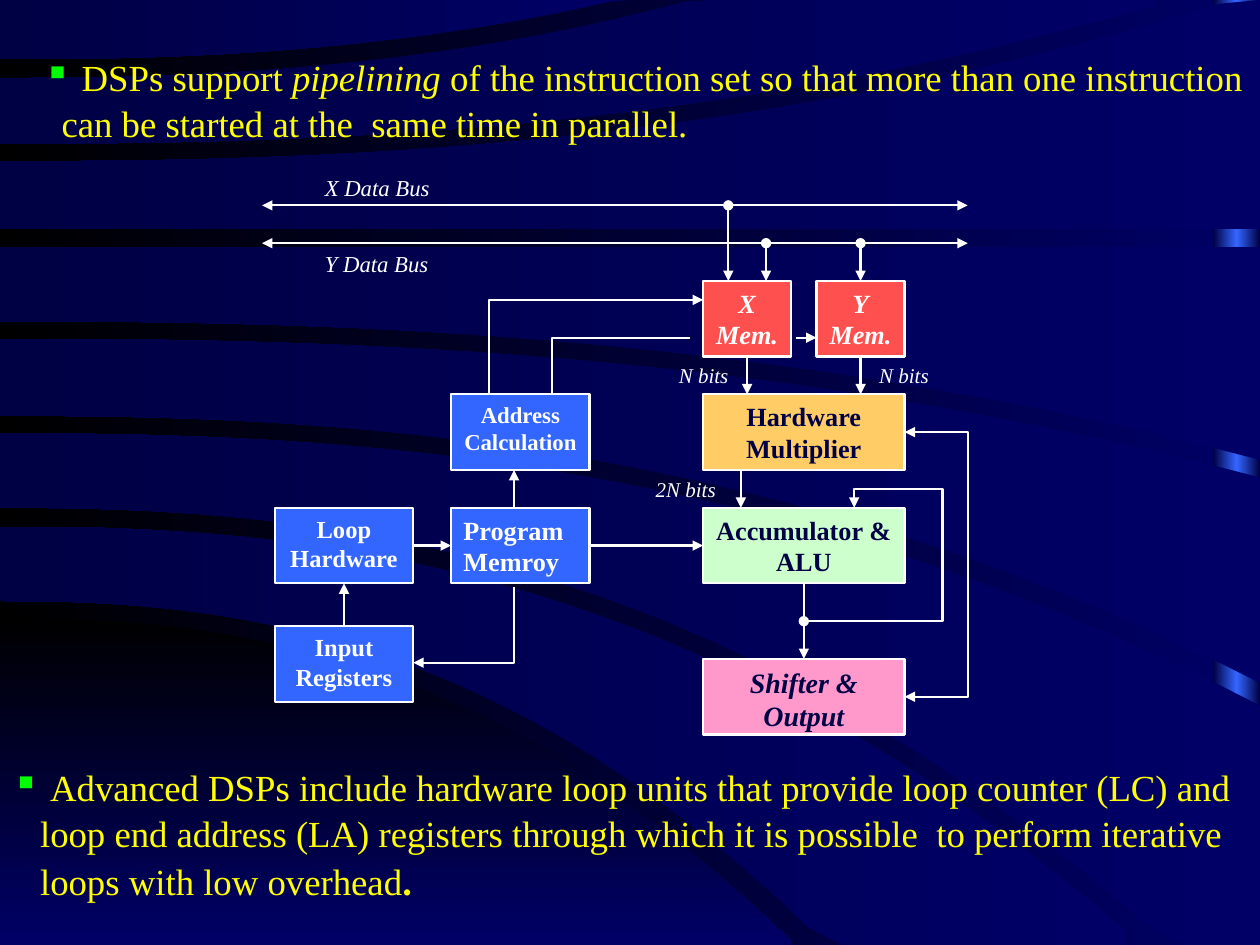
from copy import deepcopy
from pptx import Presentation
from pptx.dml.color import RGBColor
from pptx.enum.shapes import MSO_CONNECTOR, MSO_SHAPE
from pptx.enum.text import MSO_ANCHOR, PP_ALIGN
from pptx.oxml.ns import qn
from pptx.util import Inches, Pt
from lxml import etree

STRAIGHT = MSO_CONNECTOR.STRAIGHT
RECT = MSO_SHAPE.RECTANGLE
TOP, MIDDLE = MSO_ANCHOR.TOP, MSO_ANCHOR.MIDDLE
LEFT, CENTER, RIGHT = PP_ALIGN.LEFT, PP_ALIGN.CENTER, PP_ALIGN.RIGHT
FONT = "Times New Roman"
WIDTH, HEIGHT = 10, 7.5
COLORS = {"navy": "000066", "deep": "000044", "black": "000000", "blue": "3366FF",
          "white": "FFFFFF", "yellow": "FFFF00", "bullet": "00FF00", "green": "CCFFCC",
          "orange": "FFCC66", "pink": "FF99CC", "red": "FF5050"}

BEND, SAMPLES = 2.4, 32
CORNER = (6.28, (4.91, 7.8), (HEIGHT, 0))
SWEEPS = [
    (8.93, (4.18, 4.2), (4.77, 7.5)),
    (WIDTH, (3.44, 2.16), (4.03, 4.15)),
    (WIDTH, (2.69, 1.1), (3.3, 2.12)),
    (WIDTH, (1.96, 0), (2.55, 1.1)),
    (WIDTH, (1.28, -1.35), (1.82, 0)),
    (9.17, (0.62, -2.6), (1.14, -1.35)),
    (5.01, (0, 0), (0.47, -2.6)),
]

CELL, ORIGIN_X, ORIGIN_Y = 0.1, 2.08, 1.33
BLOCK_ROWS, GAP = 6, 3
KINDS = {"green": (16, "deep"), "orange": (16, "deep"), "pink": (16, "deep"),
         "red": (7, "white"), "blue": (11, "white")}
ITALIC_KINDS = ("pink", "red")
BLOCKS = {
    "alu": (35, 27, "green", 15, CENTER, ["Accumulator & ALU"]),
    "multiplier": (35, 18, "orange", 15, CENTER, ["Hardware", "Multiplier"]),
    "shifter": (35, 39, "pink", 16, CENTER, ["Shifter &", "Output"]),
    "x memory": (35, 9, "red", 15, CENTER, ["X", "Mem."]),
    "y memory": (44, 9, "red", 15, CENTER, ["Y", "Mem."]),
    "program": (15, 27, "blue", 15, LEFT, ["Program Memroy"]),
    "address": (15, 18, "blue", 13, CENTER, ["Address", "Calculation"]),
    "loop": (1, 27, "blue", 14, CENTER, ["Loop", "Hardware"]),
    "input": (1, 36.4, "blue", 14, CENTER, ["Input", "Registers"]),
}
LABELS = [
    (4, 0, 11, 13, LEFT, "X Data Bus"),
    (4, 6, 11, 13, LEFT, "Y Data Bus"),
    (32, 15, 6, 12, RIGHT, "N bits"),
    (48, 15, 6, 12, LEFT, "N bits"),
    (29, 24, 8, 12, RIGHT, "2N bits"),
]
ARROW, DOT = "triangle", "oval"
BUS_END, BUS_ROWS, MEMORY_ROW = 56, (3, 6), 9
TAPS = [(37, 3), (40, 6), (47.5, 6)]
DROPS = [(38.5, 15), (47.5, 15), (38, 24)]
JOINS = [("alu", "bottom", "shifter", "top"), ("program", "right", "alu", "left"),
         ("loop", "right", "program", "left"), ("input", "top", "loop", "bottom")]
SIDES = ("top", "left", "bottom", "right")
ROUTES = [
    ([(20, 27), (20, 24)], None, ARROW),
    ([(42.4, 13.5), (44, 13.5)], None, ARROW),
    ([(18, 18), (18, 10.5), (35, 10.5)], None, ARROW),
    ([(23, 18), (23, 13.5), (34, 13.5)], None, None),
    ([(43, 36), (54, 36), (54, 25.5), (47, 25.5), (47, 27)], DOT, ARROW),
    ([(51, 21), (56, 21), (56, 42), (51, 42)], ARROW, ARROW),
    ([(20, 33.3), (20, 39.3), (12, 39.3)], None, ARROW),
]
POINTS = [
    (0.25, 0.25, 0.14, [
        [("DSPs support ", 21, ""), ("pipelining", 21, "italic"),
         (" of the instruction set so that more than one instruction", 21, "")],
        [("can be started at the  same time in parallel.", 21, "")]]),
    (0, 6.08, 0.22, [
        [("Advanced DSPs include hardware loop units that provide loop counter (LC) and",
          21, "")],
        [("loop end address (LA) registers through which it is possible  to perform iterative",
          21, "")],
        [("loops with low overhead", 21, ""), (".", 22, "bold")]]),
]


def rgb(name):
    return RGBColor.from_string(COLORS[name])


def grid(col, row):
    return Inches(ORIGIN_X + col * CELL), Inches(ORIGIN_Y + row * CELL)


def set_gradient(fill, first, last, angle):
    fill.gradient()
    fill.gradient_angle = angle
    for stop, name, place in zip(fill.gradient_stops, (first, last), (0, 1)):
        stop.color.rgb = rgb(name)
        stop.position = place


def outline(points, closed):
    builder = slide.shapes.build_freeform(*points[0], scale=1.0)
    builder.add_line_segments(points[1:], close=closed)
    shape = builder.convert_to_shape()
    shape.shadow.inherit = False
    return shape


def curve(reach, start, rise):
    xs = [reach * step / SAMPLES for step in range(SAMPLES + 1)]
    ys = [start + rise * (x / WIDTH) ** BEND for x in xs]
    return [(Inches(x), Inches(min(max(y, 0), HEIGHT))) for x, y in zip(xs, ys)]


def sweep(reach, upper, lower, first, last, angle):
    shape = outline(curve(reach, *upper) + curve(reach, *lower)[::-1], True)
    set_gradient(shape.fill, first, last, angle)
    shape.line.fill.background()


def add_run(paragraph, text, size, color, bold=False, italic=False):
    run = paragraph.add_run()
    run.text = text
    font = run.font
    font.name, font.size, font.bold, font.italic = FONT, Pt(size), bold, italic
    font.color.rgb = rgb(color)


def paragraphs(frame, count, anchor=TOP):
    frame.word_wrap = True
    frame.vertical_anchor = anchor
    return [frame.paragraphs[0]] + [frame.add_paragraph() for _ in range(count - 1)]


def style_wire(wire, head, tail):
    wire.line.color.rgb = rgb("white")
    wire.line.width = Pt(1.25)
    for tag, end in (("a:headEnd", head), ("a:tailEnd", tail)):
        if end:
            etree.SubElement(wire.line._get_or_add_ln(), qn(tag), type=end)


prs = Presentation()
prs.slide_width, prs.slide_height = Inches(WIDTH), Inches(HEIGHT)
slide = prs.slides.add_slide(prs.slide_layouts[6])
set_gradient(slide.background.fill, "navy", "black", 180)

edge = slide.shapes.add_shape(RECT, Inches(9.63), 0, Inches(0.37), Inches(HEIGHT))
edge.shadow.inherit = False
edge.line.fill.background()
set_gradient(edge.fill, "deep", "deep", 180)
stops = edge._element.spPr.find(".//" + qn("a:gsLst"))
stops.insert(1, deepcopy(stops[0]))
edge.fill.gradient_stops[1].position = 0.5
edge.fill.gradient_stops[1].color.rgb = rgb("blue")
sweep(*CORNER, "black", "navy", 270)
for band in SWEEPS:
    sweep(*band, "navy", "deep", 180)

sites, spots = {}, {}
for key, (col, row, fill, size, align, lines) in BLOCKS.items():
    cols, ink = KINDS[fill]
    block = slide.shapes.add_shape(RECT, *grid(col, row), Inches(cols * CELL),
                                   Inches(BLOCK_ROWS * CELL))
    block.shadow.inherit = False
    block.fill.solid()
    block.fill.fore_color.rgb = rgb(fill)
    block.line.color.rgb = rgb("white")
    block.line.width = Pt(1.25)
    for paragraph, text in zip(paragraphs(block.text_frame, len(lines)), lines):
        paragraph.alignment = align
        add_run(paragraph, text, size, ink, True, fill in ITALIC_KINDS)
    middle_x, middle_y = col + cols / 2, row + BLOCK_ROWS / 2
    middles = [(middle_x, row), (col, middle_y), (middle_x, row + BLOCK_ROWS),
               (col + cols, middle_y)]
    for index, spot in enumerate(middles):
        sites[spot] = (block, index)
        spots[key, SIDES[index]] = spot

wires = [([(0, row), (BUS_END, row)], ARROW, ARROW) for row in BUS_ROWS]
wires += [([(col, row), (col, MEMORY_ROW)], DOT, ARROW) for col, row in TAPS]
wires += [([(col, row), (col, row + GAP)], None, ARROW) for col, row in DROPS]
wires += [([spots[a, side_a], spots[b, side_b]], None, ARROW)
          for a, side_a, b, side_b in JOINS]
for turns, head, tail in wires + ROUTES:
    if len(turns) == 2:
        start, end = turns
        wire = slide.shapes.add_connector(STRAIGHT, *grid(*start), *grid(*end))
        if start in sites:
            wire.begin_connect(*sites[start])
        if end in sites:
            wire.end_connect(*sites[end])
        style_wire(wire, head, tail)
        etree.SubElement(wire._element.spPr, qn("a:effectLst"))
    else:
        wire = outline([grid(*turn) for turn in turns], False)
        wire.fill.background()
        style_wire(wire, head, tail)

for col, row, cols, size, align, text in LABELS:
    label = slide.shapes.add_textbox(*grid(col, row), Inches(cols * CELL), Inches(GAP * CELL))
    paragraph = paragraphs(label.text_frame, 1)[0]
    paragraph.alignment = align
    add_run(paragraph, text, size, "white", italic=True)

for left, top, indent, lines in POINTS:
    point = slide.shapes.add_textbox(Inches(left), Inches(top), Inches(WIDTH - left),
                                     Inches(1.08))
    point.text_frame.margin_right = 0
    for index, paragraph in enumerate(paragraphs(point.text_frame, len(lines), MIDDLE)):
        props = paragraph._p.get_or_add_pPr()
        if index:
            props.set("marL", str(Inches(indent)))
            paragraph.space_before = Pt(1)
        else:
            props.set("marL", str(Inches(0.3)))
            props.set("indent", str(-Inches(0.3)))
            color = etree.SubElement(props, qn("a:buClr"))
            etree.SubElement(color, qn("a:srgbClr"), val=COLORS["bullet"])
            etree.SubElement(props, qn("a:buChar"), char="▪")
        for text, size, style in lines[index]:
            add_run(paragraph, text, size, "yellow", style == "bold", style == "italic")

prs.save("out.pptx")
